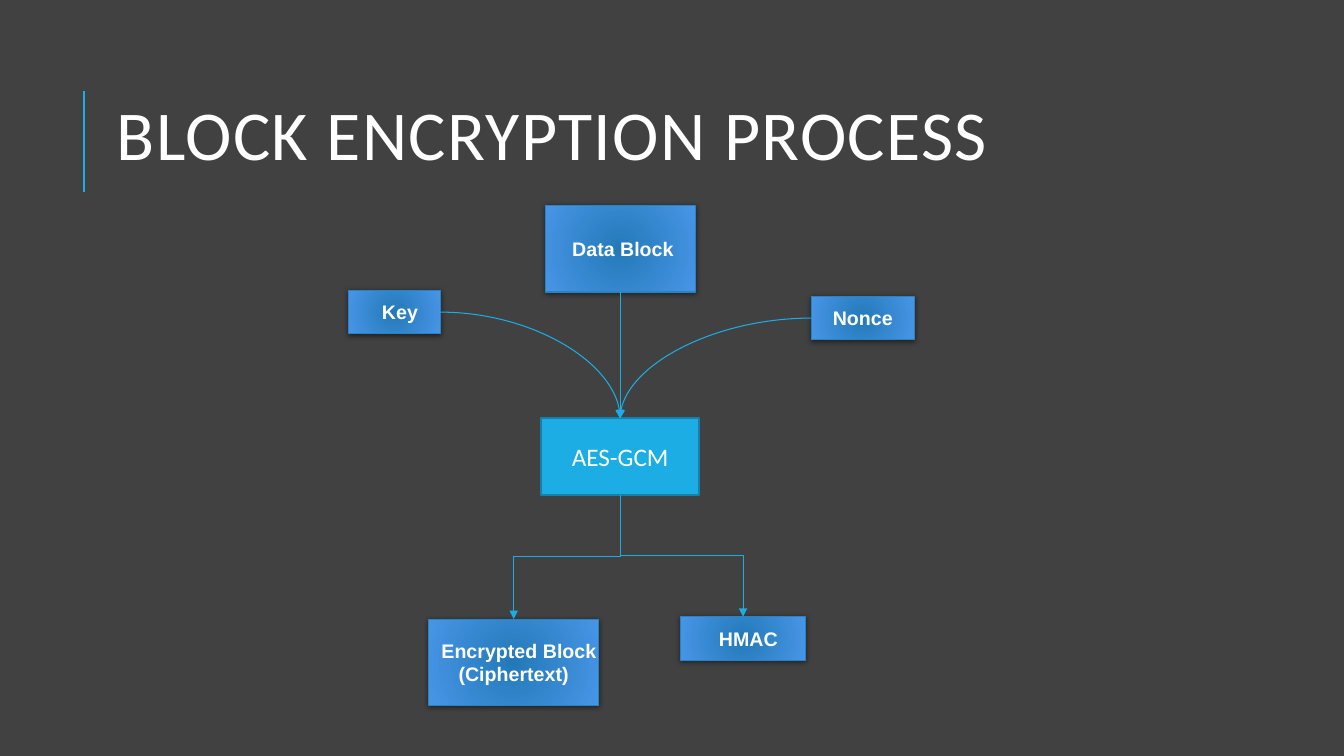
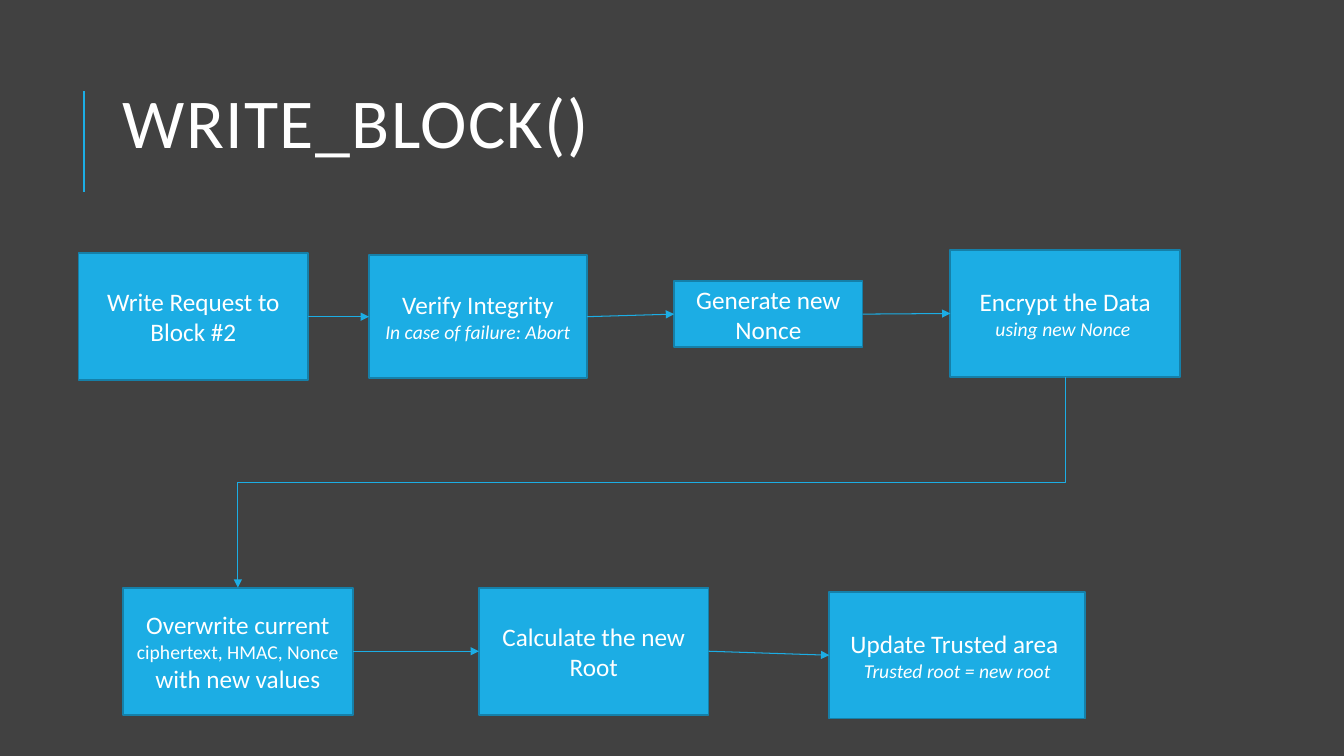
from dataclasses import dataclass

from lxml.etree import SubElement
from pptx import Presentation
from pptx.dml.color import RGBColor
from pptx.enum.shapes import MSO_CONNECTOR, MSO_SHAPE
from pptx.enum.text import MSO_ANCHOR, PP_ALIGN
from pptx.oxml.ns import qn
from pptx.util import Cm, Pt


@dataclass(frozen=True)
class Theme:
    background: RGBColor = RGBColor.from_string("414141")
    text: RGBColor = RGBColor.from_string("FFFFFF")
    accent: RGBColor = RGBColor.from_string("1CADE4")
    accent_edge: RGBColor = RGBColor.from_string("1580A9")
    data_center: RGBColor = RGBColor.from_string("237AB8")
    data_rim: RGBColor = RGBColor.from_string("4895E7")
    data_edge: RGBColor = RGBColor.from_string("2683C6")
    title_font: str = "Calibri"
    title_size: Pt = Pt(50)
    # Run styles: font, size, bold, italic
    step: tuple = ("Calibri", Pt(18), False, False)
    detail: tuple = ("Calibri", Pt(14), False, False)
    note: tuple = ("Calibri", Pt(14), False, True)
    data: tuple = ("Arial", Pt(14), True, False)


THEME = Theme()
TOP, LEFT, BOTTOM, RIGHT = range(4)
STRAIGHT, CURVE, ELBOW = MSO_CONNECTOR.STRAIGHT, MSO_CONNECTOR.CURVE, MSO_CONNECTOR.ELBOW


def add_box(slide, bounds, paragraphs, is_data):
    """Draw a step box, or a shaded data box; a paragraph is (indent in cm, runs)."""
    shape = slide.shapes.add_shape(MSO_SHAPE.RECTANGLE, *map(Cm, bounds))
    shape.shadow.inherit = False
    if is_data:
        shape.fill.gradient()
        for stop, color in zip(shape.fill.gradient_stops, (THEME.data_center, THEME.data_rim)):
            stop.color.rgb = color
        gradient = shape._element.spPr.find(qn("a:gradFill"))
        gradient.remove(gradient.find(qn("a:lin")))
        circle = SubElement(gradient, qn("a:path"), {"path": "circle"})
        SubElement(circle, qn("a:fillToRect"), dict.fromkeys("ltrb", "50000"))
        effects = shape._element.spPr.find(qn("a:effectLst"))
        shadow = SubElement(effects, qn("a:outerShdw"), {
            "blurRad": str(Pt(4)), "dist": str(Pt(1)), "dir": "5400000"})
        black = SubElement(shadow, qn("a:srgbClr"), {"val": "000000"})
        SubElement(black, qn("a:alpha"), {"val": "50000"})
    else:
        shape.fill.solid()
        shape.fill.fore_color.rgb = THEME.accent
    shape.line.color.rgb = THEME.data_edge if is_data else THEME.accent_edge
    shape.line.width = Pt(0.75 if is_data else 1.25)

    frame = shape.text_frame
    frame.word_wrap = True
    frame.vertical_anchor = MSO_ANCHOR.MIDDLE
    if is_data:
        frame.margin_left = frame.margin_right = 0
    for index, (indent, runs) in enumerate(paragraphs):
        paragraph = frame.add_paragraph() if index else frame.paragraphs[0]
        paragraph.alignment = PP_ALIGN.CENTER
        if indent:
            paragraph._p.get_or_add_pPr().set("marL", str(Cm(indent)))
        for text, style in runs:
            run = paragraph.add_run()
            run.text = text
            run.font.name, run.font.size, run.font.bold, run.font.italic = style
            run.font.color.rgb = THEME.text
    return shape


def add_link(slide, kind, start, start_side, end, end_side):
    connector = slide.shapes.add_connector(kind, 0, 0, 0, 0)
    connector.begin_connect(start, start_side)
    connector.end_connect(end, end_side)
    connector.line.color.rgb = THEME.accent
    connector.line.width = Pt(0.75)
    properties = connector._element.spPr
    SubElement(properties.find(qn("a:ln")), qn("a:tailEnd"), {"type": "triangle"})
    SubElement(properties, qn("a:effectLst"))
    if kind == CURVE:
        properties.find(qn("a:prstGeom")).set("prst", "curvedConnector2")
    if kind == ELBOW:
        # A quarter turn makes the elbow leave and arrive vertically.
        goes_right = connector.end_x > connector.begin_x
        middle_x = (connector.begin_x + connector.end_x) // 2
        middle_y = (connector.begin_y + connector.end_y) // 2
        length, breadth = connector.height, connector.width
        connector.left, connector.top = middle_x - length // 2, middle_y - breadth // 2
        connector.width, connector.height = length, breadth
        properties.xfrm.flipH, properties.xfrm.flipV = goes_right, False
        properties.xfrm.rot = 270 if goes_right else 90


# Boxes: name -> (left, top, width, height), paragraphs, is_data
ENCRYPTION_BOXES = {
    "data": ((13.74, 5.18, 3.78, 2.18), [(0.14, [("Data Block", THEME.data)])], True),
    "cipher": ((13.64, 10.54, 3.98, 1.93), [(0, [("AES-GCM", THEME.step)])], False),
    "nonce": ((20.45, 7.47, 2.59, 1.09), [(0, [("Nonce", THEME.data)])], True),
    "key": ((8.79, 7.32, 2.31, 1.09), [(0.27, [("Key", THEME.data)])], True),
    "encrypted": ((10.8, 15.6, 4.29, 2.18), [
        (0.27, [("Encrypted Block", THEME.data)]),
        (0, [("(Ciphertext)", THEME.data)])], True),
    "hmac": ((17.15, 15.54, 3.15, 1.1), [(0.27, [("HMAC", THEME.data)])], True),
}
ENCRYPTION_LINKS = [
    (STRAIGHT, "data", BOTTOM, "cipher", TOP),
    (CURVE, "key", RIGHT, "cipher", TOP),
    (CURVE, "nonce", LEFT, "cipher", TOP),
    (ELBOW, "cipher", BOTTOM, "encrypted", TOP),
    (ELBOW, "cipher", BOTTOM, "hmac", TOP),
]
WRITE_BOXES = {
    "request": ((1.98, 6.38, 5.79, 3.2),
                [(0, [("Write Request to Block #2", THEME.step)])], False),
    "verify": ((9.3, 6.43, 5.49, 3.1), [
        (0, [("Verify Integrity", THEME.step)]),
        (0, [("In case of failure: Abort", THEME.note)])], False),
    "generate": ((16.99, 7.09, 4.75, 1.65),
                 [(0, [("Generate new Nonce", THEME.step)])], False),
    "encrypt": ((23.95, 6.3, 5.79, 3.2), [
        (0, [("Encrypt the Data ", THEME.step), ("using new Nonce ", THEME.note)])], False),
    "overwrite": ((3.1, 14.81, 5.79, 3.2), [
        (0, [("Overwrite current ", THEME.step),
             ("ciphertext, HMAC, Nonce ", THEME.detail),
             ("with new values", THEME.step)])], False),
    "calculate": ((12.07, 14.81, 5.79, 3.2),
                  [(0, [("Calculate the new Root", THEME.step)])], False),
    "update": ((20.9, 14.91, 6.45, 3.2), [
        (0, [("Update Trusted area ", THEME.step)]),
        (0, [("Trusted root = new root", THEME.note)])], False),
}
WRITE_LINKS = [
    (STRAIGHT, "request", RIGHT, "verify", LEFT),
    (STRAIGHT, "verify", RIGHT, "generate", LEFT),
    (STRAIGHT, "generate", RIGHT, "encrypt", LEFT),
    (ELBOW, "encrypt", BOTTOM, "overwrite", TOP),
    (STRAIGHT, "overwrite", RIGHT, "calculate", LEFT),
    (STRAIGHT, "calculate", RIGHT, "update", LEFT),
]
SLIDES = [
    ("BLOCK ENCRYPTION PROCESS", (2.69, 1.93), ENCRYPTION_BOXES, ENCRYPTION_LINKS),
    ("WRITE_BLOCK()", (2.84, 1.63), WRITE_BOXES, WRITE_LINKS),
]

presentation = Presentation()
presentation.slide_width, presentation.slide_height = Cm(33.87), Cm(19.05)
blank_layout = presentation.slide_layouts[6]

for title, (title_left, title_top), boxes, links in SLIDES:
    slide = presentation.slides.add_slide(blank_layout)
    slide.background.fill.solid()
    slide.background.fill.fore_color.rgb = THEME.background

    title_bar = slide.shapes.add_connector(STRAIGHT, Cm(2.11), Cm(4.83), Cm(2.11), Cm(2.29))
    title_bar.line.color.rgb = THEME.accent
    title_bar.line.width = Pt(1.5)
    SubElement(title_bar._element.spPr, qn("a:effectLst"))

    title_box = slide.shapes.add_textbox(Cm(title_left), Cm(title_top), Cm(27), Cm(3.2))
    title_box.text_frame.word_wrap = True
    title_box.text_frame.vertical_anchor = MSO_ANCHOR.MIDDLE
    paragraph = title_box.text_frame.paragraphs[0]
    paragraph.line_spacing = 0.8
    run = paragraph.add_run()
    run.text = title
    run.font.name, run.font.size = THEME.title_font, THEME.title_size
    run.font.color.rgb = THEME.text
    run._r.get_or_add_rPr().set("spc", "100")

    shapes = {name: add_box(slide, *box) for name, box in boxes.items()}
    for kind, start, start_side, end, end_side in links:
        add_link(slide, kind, shapes[start], start_side, shapes[end], end_side)

presentation.save("out.pptx")
